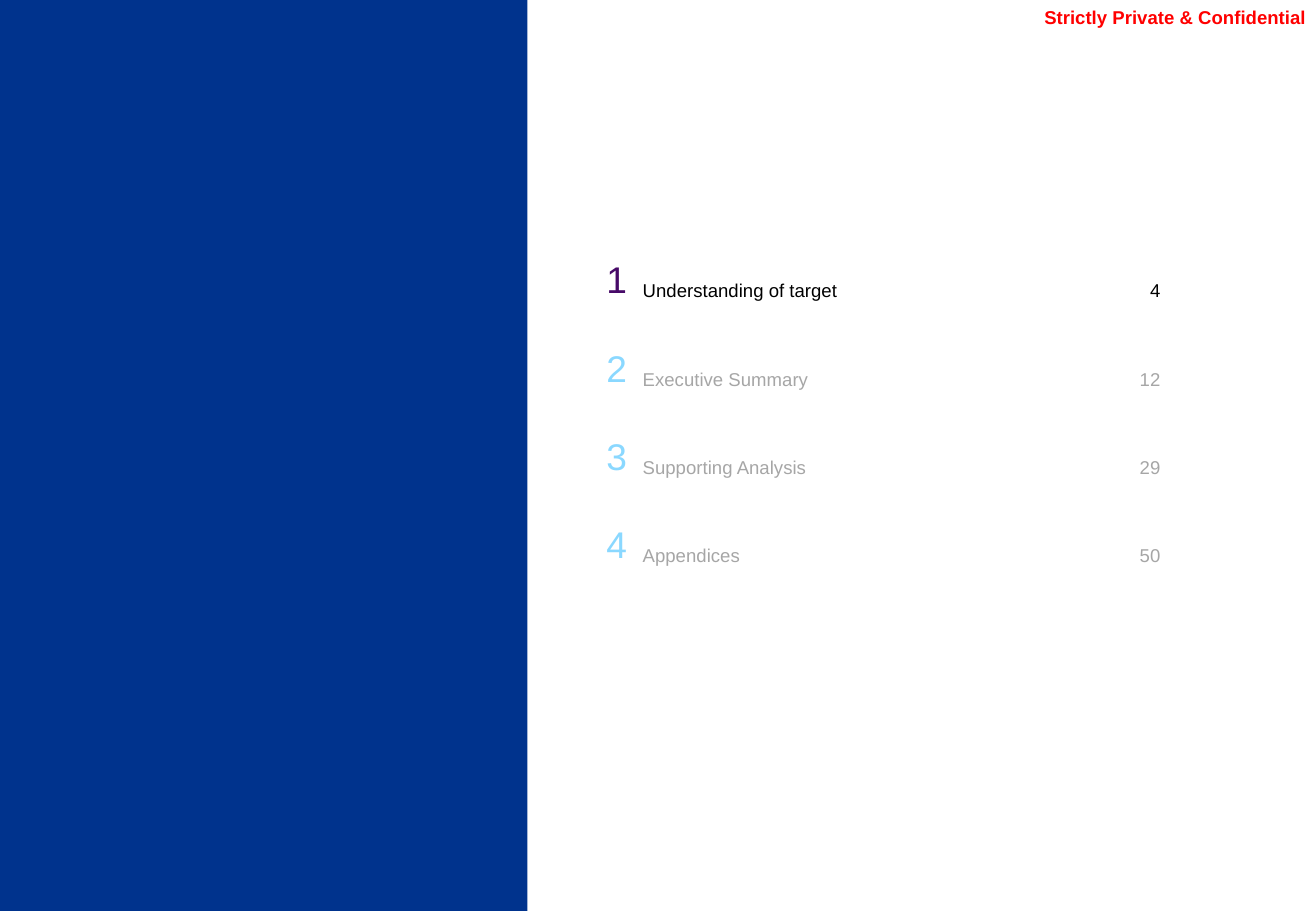
from pptx import Presentation
from pptx import util as u
from pptx.dml.color import RGBColor
from pptx.enum import shapes, text

WIDTH, HEIGHT = 10.83, 7.5
COLOURS = {
    "panel": "00338D",
    "notice": "FF0000",
    "current number": "470A68",
    "current text": "000000",
    "other number": "8AD8FF",
    "other text": "A6A6A6",
}
SECTIONS = [
    ("Understanding of target", 4),
    ("Executive Summary", 12),
    ("Supporting Analysis", 29),
    ("Appendices", 50),
]
CURRENT_SECTION = 1
LEFT, RIGHT = text.PP_ALIGN.LEFT, text.PP_ALIGN.RIGHT


class AgendaSlide:
    """Holds the style and the current slide; places are percentages of its size."""

    font = "Arial"
    text_size, number_size = 11, 22

    def __init__(self, deck):
        self.slide = deck.slides.add_slide(deck.slide_layouts[6])
        self.width, self.height = deck.slide_width, deck.slide_height

    def area(self, left, top, width, height):
        return (round(left * self.width / 100), round(top * self.height / 100),
                round(width * self.width / 100), round(height * self.height / 100))

    def fill_line(self, frame, words, colour, size, align, bold=False):
        line = frame.paragraphs[0]
        line.text = words
        line.alignment = align
        line.font.name = self.font
        line.font.size = u.Pt(size)
        line.font.bold = bold
        line.font.color.rgb = RGBColor.from_string(COLOURS[colour])

    def inset(self, holder, left, top, right, bottom):
        holder.margin_left, holder.margin_top = u.Inches(left), u.Inches(top)
        holder.margin_right, holder.margin_bottom = u.Inches(right), u.Inches(bottom)

    def panel(self, place, colour):
        block = self.slide.shapes.add_shape(
            shapes.MSO_SHAPE.RECTANGLE, *self.area(*place))
        block.shadow.inherit = False
        block.fill.solid()
        block.fill.fore_color.rgb = RGBColor.from_string(COLOURS[colour])
        block.line.fill.background()

    def label(self, place, words, colour):
        frame = self.slide.shapes.add_textbox(*self.area(*place)).text_frame
        frame.word_wrap = True
        frame.vertical_anchor = text.MSO_ANCHOR.BOTTOM
        self.inset(frame, 0, 0.04, 0.04, 0.04)
        self.fill_line(frame, words, colour, self.text_size, RIGHT, bold=True)

    def contents(self, place, column_widths, sections, current):
        agenda = self.slide.shapes.add_table(
            len(sections), len(column_widths), *self.area(*place)).table
        agenda.first_row = agenda.horz_banding = False
        for column, width in zip(agenda.columns, column_widths):
            column.width = u.Inches(width)

        for number, (title, page) in enumerate(sections, 1):
            state = "current" if number == current else "other"
            # Words, colour, size, alignment and insets of each column
            entries = [
                (str(number), f"{state} number", self.number_size, RIGHT,
                 (0.09, 0.05, 0.09, 0.05)),
                (title, f"{state} text", self.text_size, LEFT,
                 (0.04, 0.22, 0, 0.05)),
                (str(page), f"{state} text", self.text_size, RIGHT,
                 (0.09, 0.22, 0.09, 0.05)),
            ]
            for cell, (*content, insets) in zip(agenda.rows[number - 1].cells, entries):
                cell.fill.background()
                cell.vertical_anchor = text.MSO_ANCHOR.MIDDLE
                self.inset(cell, *insets)
                self.fill_line(cell.text_frame, *content)


def main():
    deck = Presentation()
    deck.slide_width, deck.slide_height = u.Inches(WIDTH), u.Inches(HEIGHT)
    agenda = AgendaSlide(deck)

    # Side panel and confidentiality notice
    agenda.panel((0, 0, 40.07, 100), "panel")
    agenda.label((74.6, -0.13, 25.02, 3.73), "Strictly Private & Confidential", "notice")

    # Table of contents with the current section highlighted
    agenda.contents((43.67, 26, 45.3, 38.8), (0.52, 3.99, 0.4),
                    SECTIONS, CURRENT_SECTION)

    deck.save("out.pptx")


if __name__ == "__main__":
    main()
